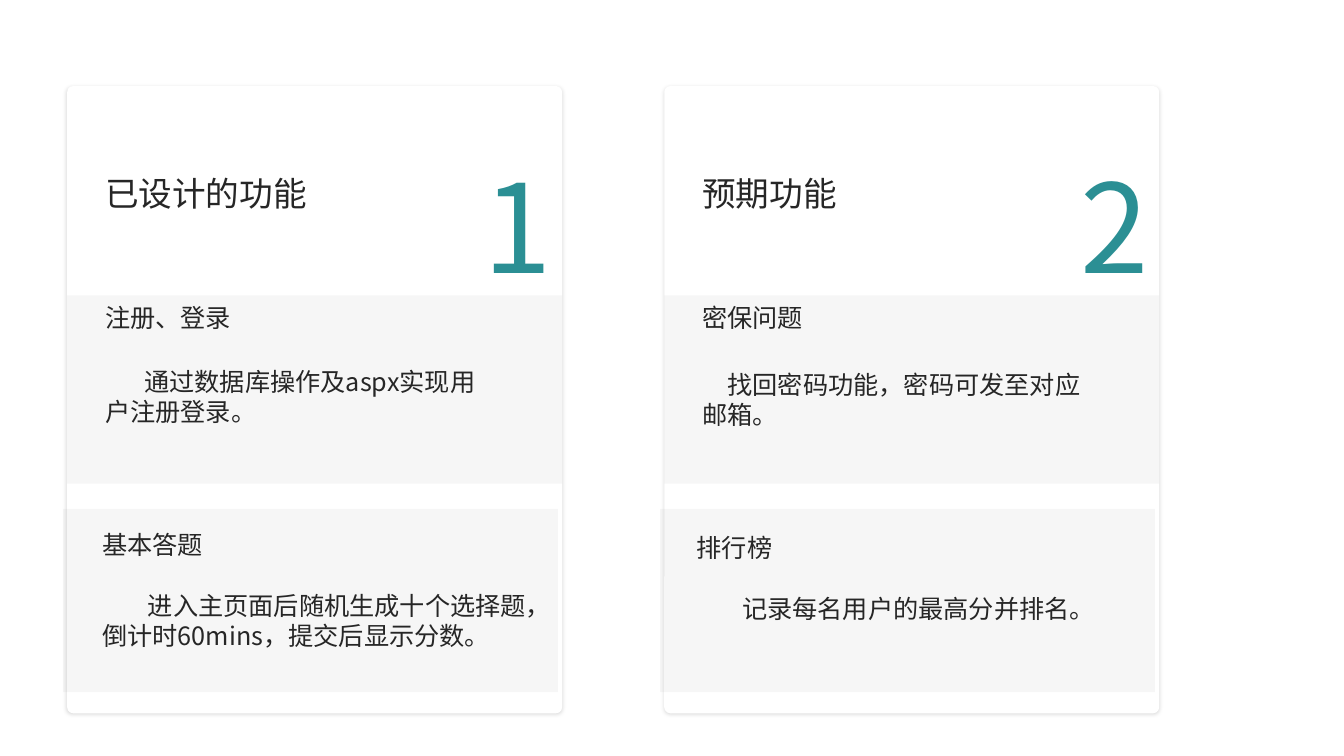
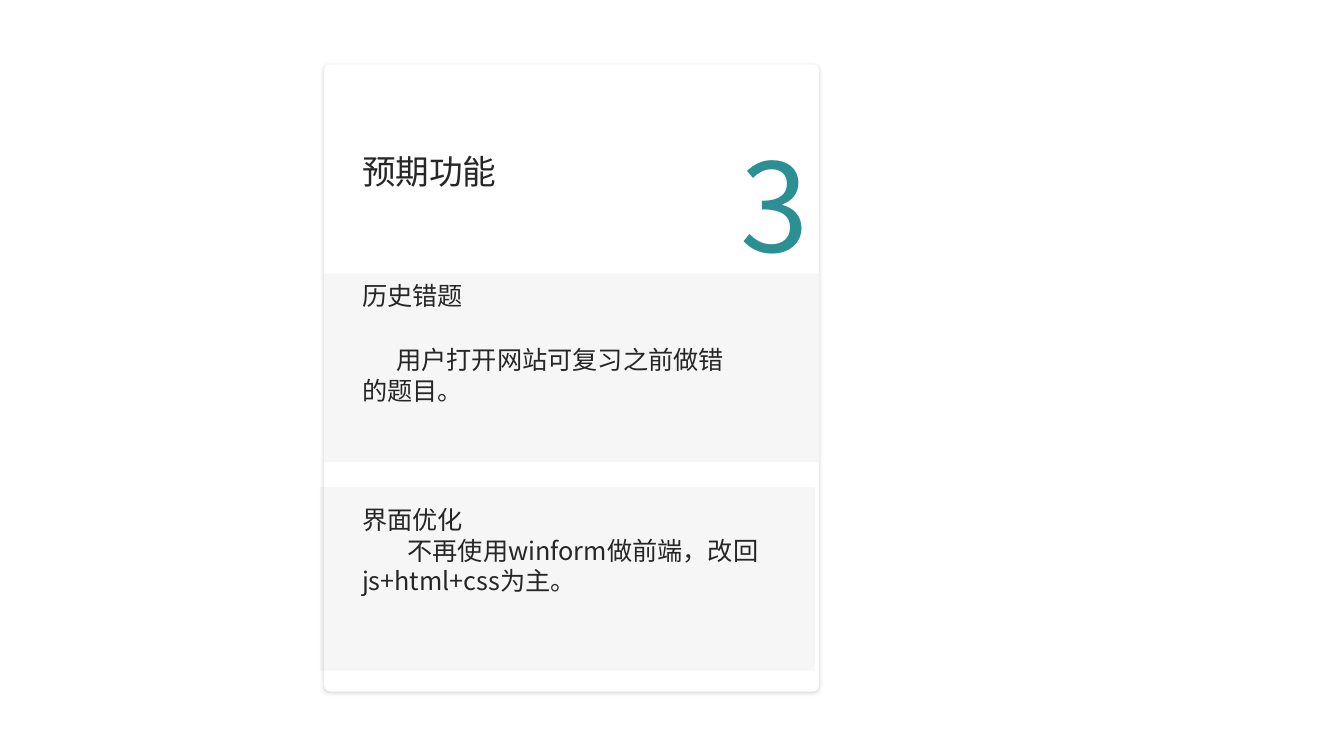
from lxml import etree
from pptx import Presentation
from pptx.dml.color import RGBColor
from pptx.enum.shapes import MSO_SHAPE
from pptx.enum.text import PP_ALIGN
from pptx.oxml.ns import qn
from pptx.util import Pt

RECT = MSO_SHAPE.RECTANGLE
ROUND = MSO_SHAPE.ROUNDED_RECTANGLE
LEFT, RIGHT = PP_ALIGN.LEFT, PP_ALIGN.RIGHT

INK, TEAL, WHITE = "262626", "2B8F94", "FFFFFF"
SANS_JP, SANS_SC = "Noto Sans CJK JP", "Noto Sans CJK SC"
CARD_W, CARD_H = 353.5, 448
PAD = 20


def color(code):
    return RGBColor.from_string(code)


def sub(node, tag, **attrs):
    """Add a child element such as a:alpha and return it."""
    return etree.SubElement(node, qn(tag), {k: str(v) for k, v in attrs.items()})


def shade(shape):
    """Give a shape a soft shadow that falls straight down."""
    effects = sub(shape._element.spPr, "a:effectLst")
    outer = sub(effects, "a:outerShdw", blurRad=Pt(3), dist=Pt(1),
                dir=90 * 60000, algn="t", rotWithShape=0)
    tint = sub(outer, "a:srgbClr", val="000000")
    sub(tint, "a:alpha", val=15000)


def box(slide, kind, x, y, w, h, fill, alpha=None):
    shape = slide.shapes.add_shape(kind, Pt(x), Pt(y), Pt(w), Pt(h))
    shape.fill.solid()
    shape.fill.fore_color.rgb = color(fill)
    shape.line.fill.background()
    if alpha is None:
        shape.adjustments[0] = 0.012
        shade(shape)
    else:
        shape.shadow.inherit = False
        tint = shape._element.spPr.find(qn("a:solidFill"))[0]
        sub(tint, "a:alpha", val=alpha * 1000)
    return shape


def text(slide, x, y, w, h, lines, size=18, font=SANS_JP, ink=INK,
         align=LEFT, lead=None, gap=0, indent=0):
    """Write lines; gap and indent apply to all but the first."""
    frame = slide.shapes.add_textbox(Pt(x), Pt(y), Pt(w), Pt(h)).text_frame
    frame.word_wrap = True
    for i, line in enumerate(lines):
        para = frame.paragraphs[0] if i == 0 else frame.add_paragraph()
        para.alignment = align
        if lead:
            para.line_spacing = lead
        if i:
            para.space_before = Pt(gap)
            para._p.get_or_add_pPr().set("indent", str(Pt(indent)))
        run = para.add_run()
        run.text = line
        run.font.size = Pt(size)
        run.font.name = font
        run.font.color.rgb = color(ink)
        sub(run._r.get_or_add_rPr(), "a:ea", typeface=font)


def card(slide, x, y, num, title, top, top_fmt, low, low_at, low_gap):
    box(slide, ROUND, x, y, CARD_W, CARD_H, WHITE)
    text(slide, x + 179, y + 63, 174.5, 101, [num], size=88, ink=TEAL,
         align=RIGHT, lead=0.8)
    box(slide, RECT, x, y + 149.5, CARD_W, 134.5, INK, alpha=4)
    text(slide, x + PAD, y + 64, CARD_W - PAD, 63, [title], size=24, lead=0.8)
    text(slide, x + PAD, y + 151, 289, 117, top, **top_fmt)
    box(slide, RECT, x - 3, y + 302, CARD_W, 131, INK, alpha=4)
    dx, dy = low_at
    text(slide, x + dx, y + dy, 326, 94, low, font=SANS_SC,
         gap=low_gap, indent=32.5)


def main():
    deck = Presentation()
    deck.slide_width, deck.slide_height = Pt(960), Pt(540)
    blank = deck.slide_layouts[6]

    first = deck.slides.add_slide(blank)
    card(first, 48, 61.5, "1", "已设计的功能",
         ["注册、登录", "通过数据库操作及aspx实现用户注册登录。"],
         dict(gap=24, indent=28),
         ["基本答题", "进入主页面后随机生成十个选择题，倒计时60mins，提交后显示分数。"],
         (18, 313), 22)
    card(first, 474.5, 61.5, "2", "预期功能",
         ["密保问题", "找回密码功能，密码可发至对应邮箱。"],
         dict(gap=26, indent=18),
         ["排行榜", "记录每名用户的最高分并排名。"],
         (16, 315.5), 22)

    second = deck.slides.add_slide(blank)
    card(second, 231.5, 46, "3", "预期功能",
         ["历史错题", "用户打开网站可复习之前做错的题目。"],
         dict(gap=24, indent=24.5),
         ["界面优化", "不再使用winform做前端，改回js+html+css为主。"],
         (PAD, 311), 0)

    deck.save("out.pptx")


if __name__ == "__main__":
    main()
